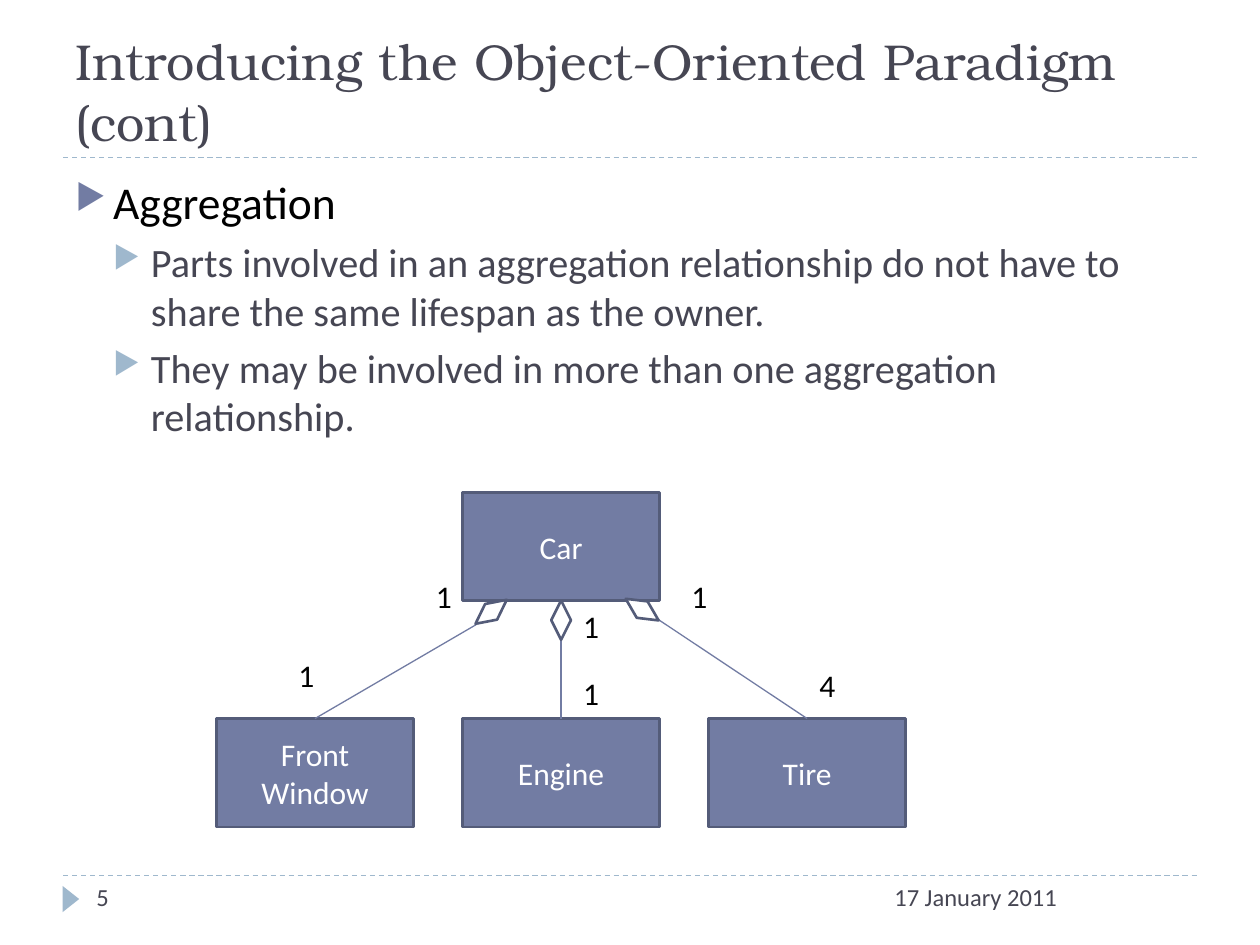
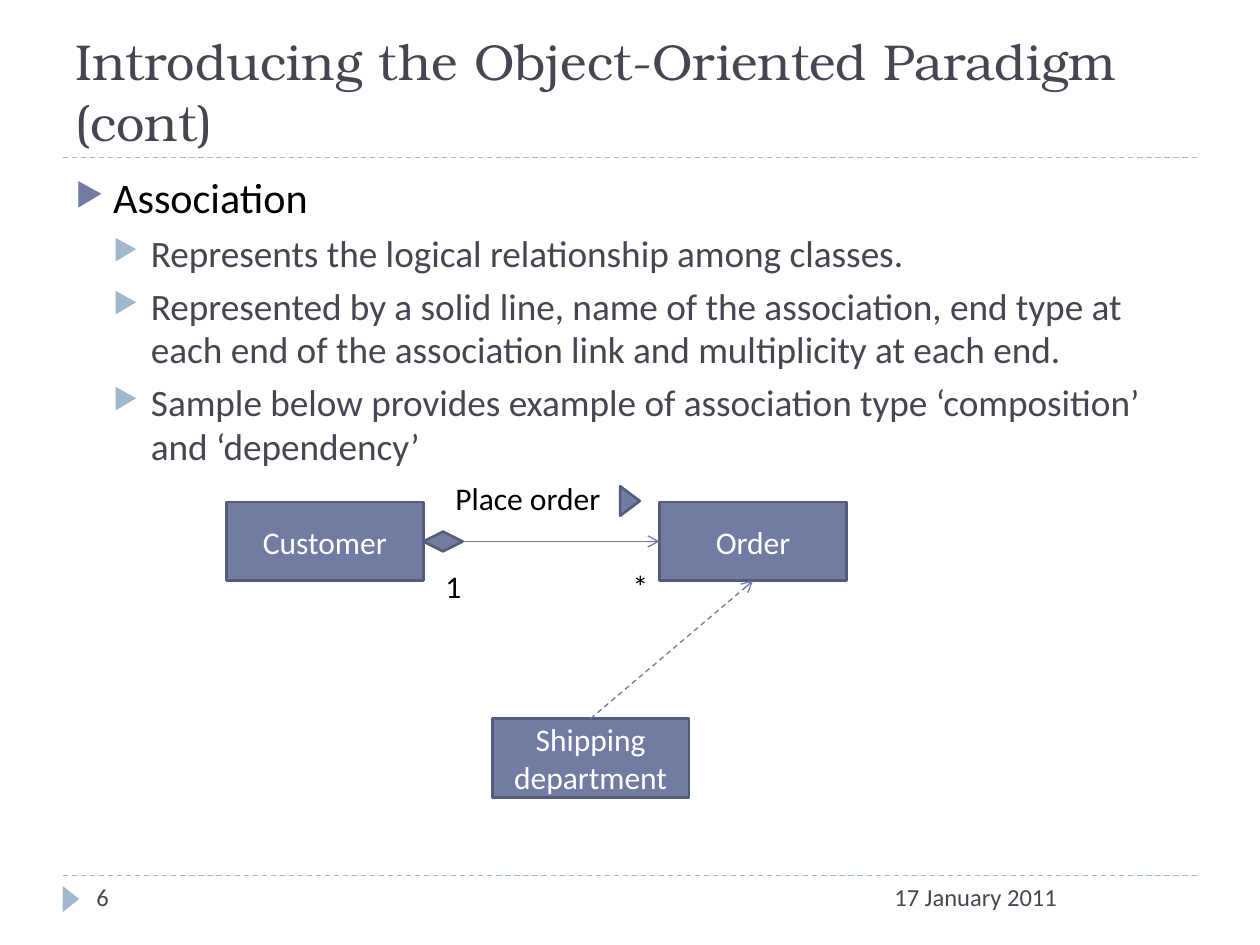
from dataclasses import dataclass

from lxml.etree import SubElement
from pptx import Presentation
from pptx.dml.color import RGBColor
from pptx.enum.dml import MSO_LINE
from pptx.enum.shapes import MSO_CONNECTOR, MSO_SHAPE
from pptx.enum.text import MSO_ANCHOR, MSO_AUTO_SIZE, PP_ALIGN
from pptx.oxml.ns import qn
from pptx.util import Pt

INK = RGBColor(0x46, 0x46, 0x53)
BLACK = RGBColor(0, 0, 0)
WHITE = RGBColor(0xFF, 0xFF, 0xFF)
SLATE = RGBColor(0x72, 0x7C, 0xA3)
EDGE = RGBColor(0x54, 0x5C, 0x79)
SKY = RGBColor(0x9F, 0xB8, 0xCD)
SANS = "Calibri"
SERIF = "TeX Gyre Bonum"
TITLE = "Introducing the Object-Oriented Paradigm (cont)"
DATE = "17 January 2011"


@dataclass(frozen=True)
class Node:
    text: str
    x: float
    y: float
    w: float
    h: float

    @property
    def mid(self) -> float:
        return self.x + self.w / 2

    @property
    def base(self) -> float:
        return self.y + self.h

    @property
    def right(self) -> float:
        return self.x + self.w


@dataclass(frozen=True)
class Link:
    x1: float
    y1: float
    x2: float
    y2: float
    color: RGBColor = SLATE
    dash: bool = False
    arrow: bool = False


@dataclass(frozen=True)
class Mark:
    kind: MSO_SHAPE
    x: float
    y: float
    w: float
    h: float
    turn: float = 0
    fill: RGBColor = SLATE
    edge: bool = True


@dataclass(frozen=True)
class Label:
    text: str
    x: float
    y: float
    w: float = 16.5
    h: float = 29
    size: float = 18
    color: RGBColor = BLACK
    font: str = SANS
    grow: bool = True
    low: bool = False


@dataclass(frozen=True)
class Body:
    head: str
    items: tuple[str, ...]
    big: float
    small: float
    high: float
    lead: float


def add_run(para, text: str, size: float, color: RGBColor, font: str = SANS):
    run = para.add_run()
    run.text = text
    run.font.size = Pt(size)
    run.font.name = font
    run.font.color.rgb = color


def paint(shape, fill: RGBColor, edge: bool = True):
    shape.shadow.inherit = False
    shape.fill.solid()
    shape.fill.fore_color.rgb = fill
    if edge:
        shape.line.color.rgb = EDGE
        shape.line.width = Pt(1.5)
    else:
        shape.line.fill.background()


def add_node(slide, node: Node):
    shape = slide.shapes.add_shape(
        MSO_SHAPE.RECTANGLE, Pt(node.x), Pt(node.y), Pt(node.w), Pt(node.h))
    paint(shape, SLATE)
    frame = shape.text_frame
    frame.word_wrap = True
    frame.vertical_anchor = MSO_ANCHOR.MIDDLE
    para = frame.paragraphs[0]
    para.alignment = PP_ALIGN.CENTER
    add_run(para, node.text, 18, WHITE)


def add_link(slide, link: Link):
    line = slide.shapes.add_connector(
        MSO_CONNECTOR.STRAIGHT, Pt(link.x1), Pt(link.y1), Pt(link.x2), Pt(link.y2))
    line.line.color.rgb = link.color
    line.line.width = Pt(0.75)
    if link.dash:
        line.line.dash_style = MSO_LINE.DASH
    props = line._element.spPr
    if link.arrow:
        SubElement(props.find(qn("a:ln")), qn("a:tailEnd"), type="arrow")
    SubElement(props, qn("a:effectLst"))


def add_mark(slide, mark: Mark):
    shape = slide.shapes.add_shape(
        mark.kind, Pt(mark.x), Pt(mark.y), Pt(mark.w), Pt(mark.h))
    shape.rotation = mark.turn
    paint(shape, mark.fill, mark.edge)


def add_label(slide, label: Label):
    box = slide.shapes.add_textbox(
        Pt(label.x), Pt(label.y), Pt(label.w), Pt(label.h))
    frame = box.text_frame
    frame.word_wrap = True
    if label.grow:
        frame.auto_size = MSO_AUTO_SIZE.SHAPE_TO_FIT_TEXT
    if label.low:
        frame.vertical_anchor = MSO_ANCHOR.BOTTOM
    add_run(frame.paragraphs[0], label.text, label.size, label.color, label.font)


def add_point(para, text: str, level: int, size: float, lead: float):
    para.level = level
    para.space_before = Pt(6 - level)
    para.line_spacing = lead
    props = para._p.get_or_add_pPr()
    props.set("marL", str(Pt(21.6 * (level + 1))))
    props.set("indent", str(Pt(-21.6)))
    tint = SubElement(props, qn("a:buClr"))
    SubElement(tint, qn("a:srgbClr"), val=str(SKY if level else SLATE))
    SubElement(props, qn("a:buSzPct"), val="76000")
    SubElement(props, qn("a:buChar"), char="\u25b6")
    add_run(para, text, size, INK if level else BLACK)


def add_body(slide, body: Body):
    box = slide.shapes.add_textbox(Pt(36), Pt(96), Pt(648), Pt(body.high))
    frame = box.text_frame
    frame.word_wrap = True
    add_point(frame.paragraphs[0], body.head, 0, body.big, body.lead)
    for item in body.items:
        add_point(frame.add_paragraph(), item, 1, body.small, body.lead)


def add_page(deck, page: int, body: Body):
    slide = deck.slides.add_slide(deck.slide_layouts[6])
    for y in (500.4, 90):
        add_link(slide, Link(36, y, 684, y, SKY, dash=True))
    add_mark(slide, Mark(MSO_SHAPE.ISOSCELES_TRIANGLE,
                         33, 509, 15, 9.5, 90, SKY, edge=False))
    add_label(slide, Label(TITLE, 36, 12, 648, 78, 28.8, INK, SERIF,
                           grow=False, low=True))
    add_body(slide, body)
    for text, x, w in ((DATE, 504, 180), (str(page), 48, 156)):
        add_label(slide, Label(text, x, 500.4, w, 29, 14, INK, grow=False))
    return slide


def draw_parts(deck):
    slide = add_page(deck, 5, Body(
        "Aggregation",
        ("Parts involved in an aggregation relationship do not have to "
         "share the same lifespan as the owner.",
         "They may be involved in more than one aggregation relationship."),
        26, 23, 389, 1.0))
    wide, high, left, step = 112.5, 62, 123.75, 140.6
    car = Node("Car", left + step, 281.25, wide, high)
    parts = [Node(name, left + i * step, 410.6, wide, high)
             for i, name in enumerate(("Front Window", "Engine", "Tire"))]
    for node in (car, *parts):
        add_node(slide, node)
    ends = ((272, 357), (car.mid, car.base), (360, car.base))
    for part, (x, y) in zip(parts, ends):
        add_link(slide, Link(part.mid, part.y, x, y))
    for x, y, turn in ((269.4, 344, 322.5), (309.4, 348.75, 270),
                       (355.7, 342.7, 213.3)):
        add_mark(slide, Mark(MSO_SHAPE.DIAMOND, x, y, 22.5, 11.25, turn, WHITE))
    for text, x, y in (("1", 163.5, 371.5), ("1", 242, 326.2),
                       ("1", 326.2, 343.5), ("1", 326.2, 381.6),
                       ("4", 461.2, 376.9), ("1", 388, 326.2)):
        add_label(slide, Label(text, x, y))


def draw_order(deck):
    slide = add_page(deck, 6, Body(
        "Association",
        ("Represents the logical relationship among classes.",
         "Represented by a solid line, name of the association, end type at "
         "each end of the association link and multiplicity at each end.",
         "Sample below provides example of association type "
         "\u2018composition\u2019 and \u2018dependency\u2019"),
        24.1, 21.3, 151, 0.98))
    buyer = Node("Customer", 129.4, 286.9, 112.5, 45)
    order = Node("Order", 376.9, 286.9, 106.9, 45)
    depot = Node("Shipping department", 281.25, 410.6, 112.5, 45)
    for node in (buyer, order, depot):
        add_node(slide, node)
    axis = buyer.y + buyer.h / 2
    add_link(slide, Link(buyer.right, axis, order.x, axis, arrow=True))
    add_link(slide, Link(depot.mid, depot.y, order.mid, order.base,
                         dash=True, arrow=True))
    add_mark(slide, Mark(MSO_SHAPE.DIAMOND, buyer.right, axis - 5.6, 22.5, 11.25))
    add_mark(slide, Mark(MSO_SHAPE.ISOSCELES_TRIANGLE, 351.5, 280.7, 16.9, 11.25, 90))
    add_label(slide, Label("Place order", 253.1, 270, 101.5))
    for text, x in (("1", 247.5), ("*", 354.4)):
        add_label(slide, Label(text, x, 320.6))


def main():
    deck = Presentation()
    deck.slide_width = Pt(720)
    deck.slide_height = Pt(540)
    draw_parts(deck)
    draw_order(deck)
    deck.save("out.pptx")


main()
